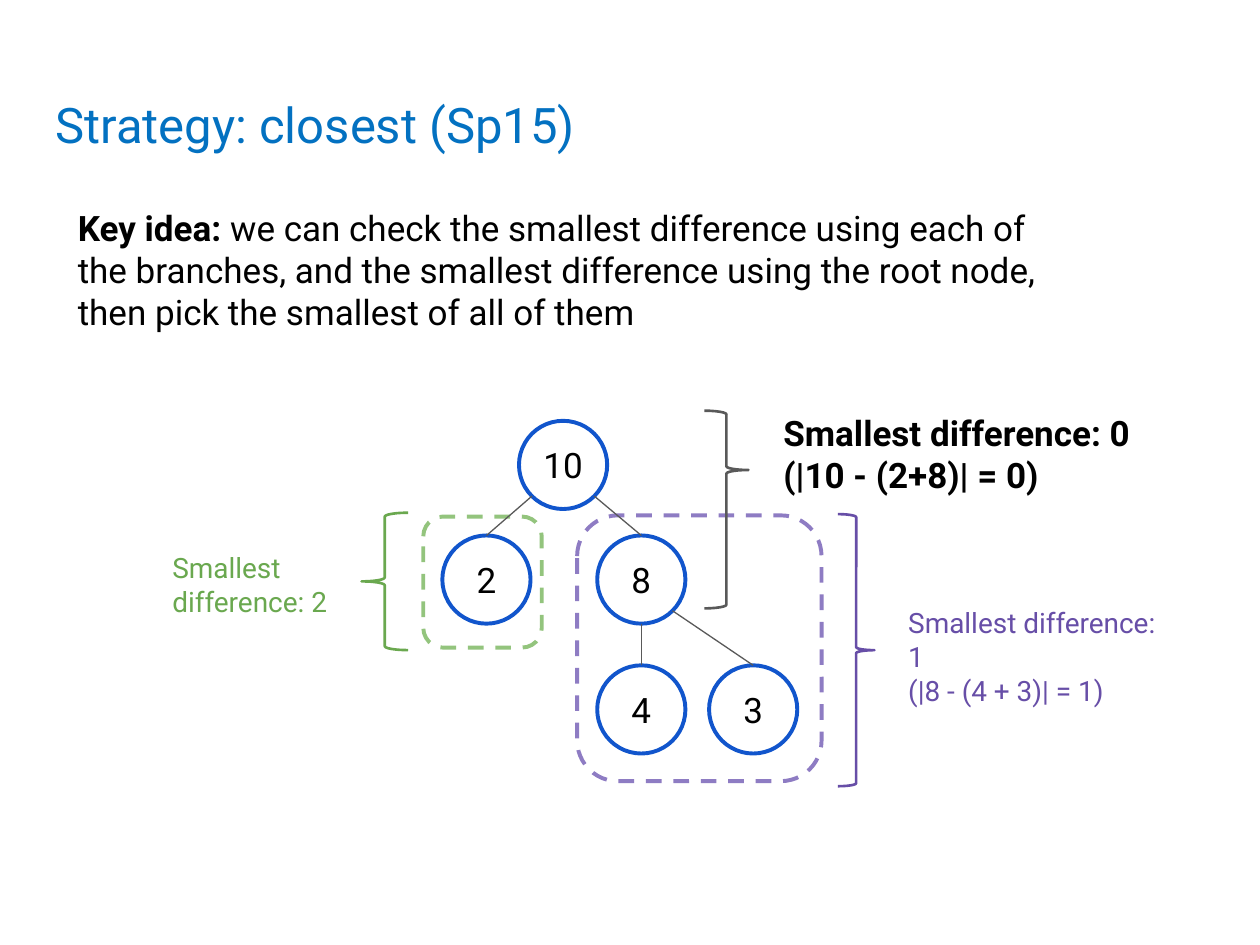
from math import cos, radians, sin

from lxml.etree import SubElement
from pptx import Presentation
from pptx.dml.color import RGBColor
from pptx.enum.dml import MSO_LINE
from pptx.enum.shapes import MSO_CONNECTOR, MSO_SHAPE
from pptx.enum.text import MSO_ANCHOR, PP_ALIGN
from pptx.oxml.ns import qn
from pptx.util import Pt

BLACK = RGBColor(0x00, 0x00, 0x00)
WHITE = RGBColor(0xFF, 0xFF, 0xFF)
GRAY = RGBColor(0x59, 0x59, 0x59)
TITLE_BLUE = RGBColor(0x03, 0x71, 0xC1)
NODE_BLUE = RGBColor(0x11, 0x55, 0xCC)
GREEN = RGBColor(0x6A, 0xA8, 0x4F)
LIGHT_GREEN = RGBColor(0x93, 0xC4, 0x7D)
PURPLE = RGBColor(0x67, 0x4E, 0xA7)
LIGHT_PURPLE = RGBColor(0x8E, 0x7C, 0xC3)

NODE_SIZE = 50.4


class TreeSlide:
    font_name = "Roboto"
    inset = Pt(7.2)

    def __init__(self, presentation):
        self.slide = presentation.slides.add_slide(presentation.slide_layouts[5])
        self.shapes = self.slide.shapes

    def style(self, paragraph, size, color, bold=None):
        paragraph.font.name = self.font_name
        paragraph.font.size = Pt(size)
        paragraph.font.color.rgb = color
        paragraph.font.bold = bold

    def frame_text(self, frame, anchor=MSO_ANCHOR.TOP):
        frame.word_wrap = True
        frame.vertical_anchor = anchor
        frame.margin_left = frame.margin_right = self.inset
        frame.margin_top = frame.margin_bottom = self.inset

    def title(self, text, left, top, width, height):
        heading = self.shapes.title
        heading.left, heading.top = Pt(left), Pt(top)
        heading.width, heading.height = Pt(width), Pt(height)
        frame = heading.text_frame
        frame.text = text
        self.frame_text(frame)
        frame.paragraphs[0].alignment = PP_ALIGN.LEFT
        self.style(frame.paragraphs[0], 28, TITLE_BLUE)

    def text(self, lines, left, top, width, height, size=20, color=BLACK, bold=None):
        frame = self.shapes.add_textbox(Pt(left), Pt(top), Pt(width), Pt(height)).text_frame
        self.frame_text(frame)
        frame.text = "\n".join(lines)
        for paragraph in frame.paragraphs:
            self.style(paragraph, size, color, bold)
        return frame

    def outline(self, preset, left, top, width, height, color, weight=2.25):
        shape = self.shapes.add_shape(preset, Pt(left), Pt(top), Pt(width), Pt(height))
        shape.shadow.inherit = False
        shape.fill.background()
        shape.line.color.rgb = color
        shape.line.width = Pt(weight)
        return shape

    def dashed_group(self, left, top, width, height, color):
        group = self.outline(MSO_SHAPE.ROUNDED_RECTANGLE, left, top, width, height, color)
        group.line.dash_style = MSO_LINE.DASH

    def brace(self, preset, left, top, width, height, color, tip=0.5):
        brace = self.outline(preset, left, top, width, height, color, 1.5)
        brace.adjustments[1] = tip

    def node(self, label, center_x, center_y):
        radius = NODE_SIZE / 2
        node = self.outline(MSO_SHAPE.OVAL, center_x - radius, center_y - radius,
                            NODE_SIZE, NODE_SIZE, NODE_BLUE)
        node.fill.solid()
        node.fill.fore_color.rgb = WHITE
        frame = node.text_frame
        self.frame_text(frame, MSO_ANCHOR.MIDDLE)
        frame.word_wrap = False
        frame.text = label
        frame.paragraphs[0].alignment = PP_ALIGN.CENTER
        self.style(frame.paragraphs[0], 20, BLACK)
        return node

    def branch(self, parent, child, angle):
        radius = parent.width / 2
        start_x = int(parent.left + radius + radius * cos(radians(angle)))
        start_y = int(parent.top + radius + radius * sin(radians(angle)))
        line = self.shapes.add_connector(MSO_CONNECTOR.STRAIGHT, start_x, start_y,
                                         child.left + child.width // 2, child.top)
        line.end_connect(child, 0)
        line.line.color.rgb = GRAY
        line.line.width = Pt(0.75)
        SubElement(line._element.spPr, qn("a:effectLst"))


def main():
    presentation = Presentation()
    presentation.slide_width, presentation.slide_height = Pt(720), Pt(540)
    page = TreeSlide(presentation)

    page.title("Strategy: closest (Sp15)", 24.5, 46.8, 671, 59.8)
    key_idea = page.text(
        ["Key idea: "], 37.4, 110.9, 584, 74.9).paragraphs[0]
    key_idea.runs[0].font.bold = True
    key_idea.add_run().text = (
        "we can check the smallest difference using each of the branches, and the "
        "smallest difference using the root node, then pick the smallest of all of them")

    page.dashed_group(329.8, 294.5, 139.7, 151.9, LIGHT_PURPLE)
    page.dashed_group(241.9, 295.2, 67.7, 74.9, LIGHT_GREEN)

    centers = {"10": (321.8, 265.7), "2": (278, 331.2), "8": (366.5, 331.2),
               "3": (430.4, 405.4), "4": (366.5, 405.4)}
    nodes = {label: page.node(label, *center) for label, center in centers.items()}
    for parent, child, angle in [("10", "2", 135), ("10", "8", 45),
                                 ("8", "4", 90), ("8", "3", 45)]:
        page.branch(nodes[parent], nodes[child], angle)

    page.brace(MSO_SHAPE.LEFT_BRACE, 206.6, 293, 26.6, 78.5, GREEN)
    page.text(["Smallest difference: 2"], 91.4, 307.4, 118.8, 50.4, 16, GREEN)

    page.brace(MSO_SHAPE.RIGHT_BRACE, 478.8, 293.8, 20.9, 155.5, PURPLE)
    page.text(["Smallest difference: 1", "(|8 - (4 + 3)| = 1)"],
              511.9, 339.1, 166.3, 50.4, 16, PURPLE)

    page.brace(MSO_SHAPE.RIGHT_BRACE, 402.5, 234.7, 25.2, 113, GRAY, 0.3)
    page.text(["Smallest difference: 0", "(|10 - (2+8)| = 0)"],
              440.6, 228.2, 216, 50.4, bold=True)

    presentation.save("out.pptx")


if __name__ == "__main__":
    main()
